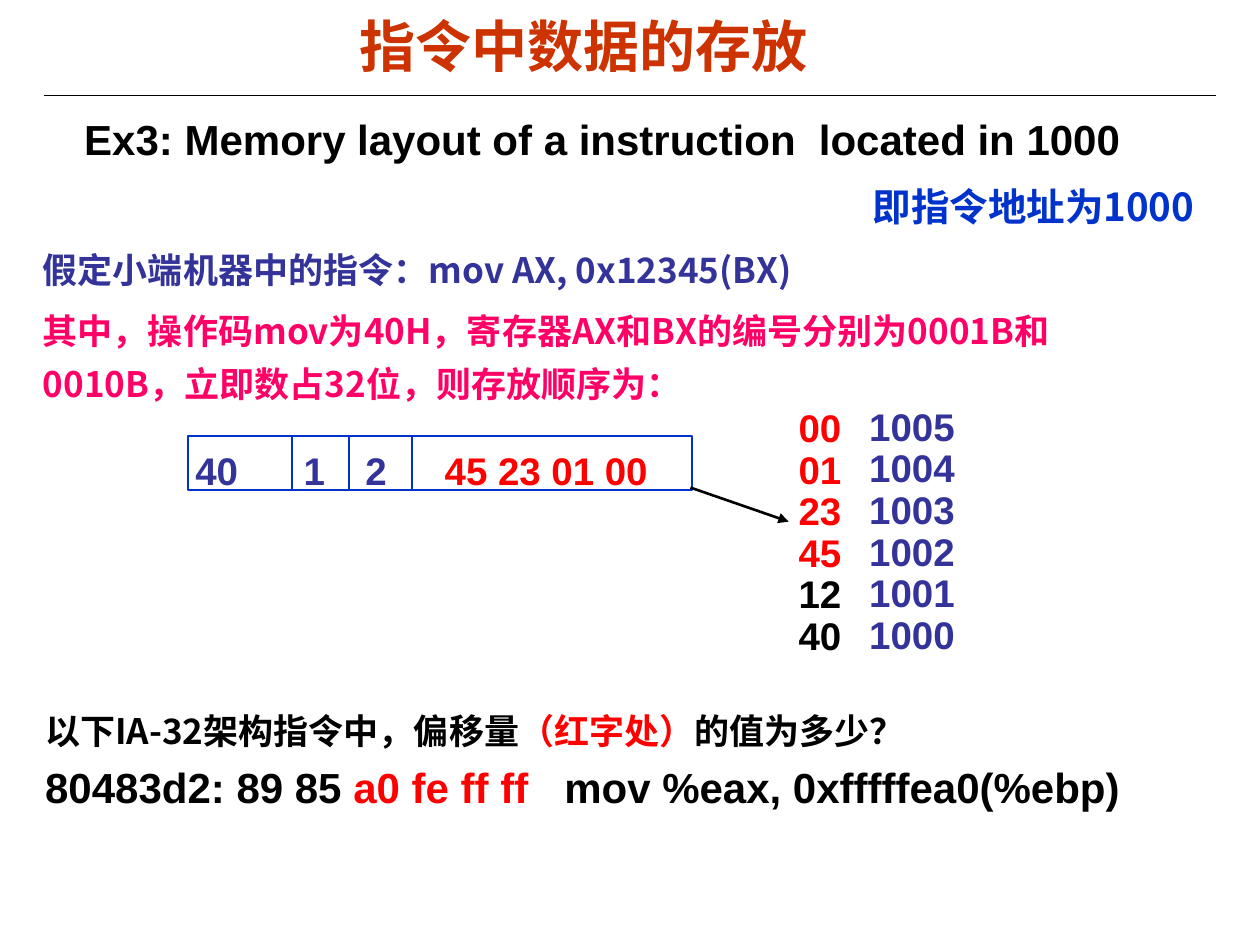
from dataclasses import dataclass

from lxml import etree
from pptx import Presentation
from pptx import util as u
from pptx.dml.color import RGBColor
from pptx.enum import shapes, text
from pptx.oxml import parse_xml
from pptx.oxml.ns import nsdecls, qn

WIDTH, HEIGHT = u.Inches(10), u.Inches(7.5)
COLS, ROWS = 100, 75


@dataclass(frozen=True)
class Theme:
    title: str = "CC3300"
    ink: str = "000000"
    navy: str = "333399"
    blue: str = "0033CC"
    pink: str = "FF0066"
    red: str = "FF0000"
    head: int = 32
    big: int = 24
    mid: int = 22
    body: int = 20
    latin: str = "Arial"
    han: str = "Noto Sans CJK SC"


T = Theme()


def col(n):
    return round(WIDTH * n / COLS)


def row(n):
    return round(HEIGHT * n / ROWS)


def place(left, top, width, height):
    return col(left), row(top), col(width), row(height)


def style(run, color, size, face):
    font = run.font
    font.size, font.bold, font.name = u.Pt(size), True, face
    font.color.rgb = RGBColor.from_string(color)
    # East Asian face follows the Latin one
    ea = etree.Element(qn("a:ea"), typeface=T.han)
    run.font._element.find(qn("a:latin")).addnext(ea)


def tab_stop(para, stop):
    para._p.get_or_add_pPr().append(parse_xml(
        f'<a:tabLst {nsdecls("a")}><a:tab pos="{col(stop)}" algn="l"/></a:tabLst>'))


def label(slide, box, lines, size, face=T.latin, inset=(0.1, 0.05),
          lead=None, gap=0, wrap=True, align=None, stop=None):
    """Each line is a list of (words, colour) or (words, colour, size, face)."""
    frame = slide.shapes.add_textbox(*place(*box)).text_frame
    frame.word_wrap = wrap
    frame.auto_size = text.MSO_AUTO_SIZE.SHAPE_TO_FIT_TEXT
    frame.margin_left = frame.margin_right = u.Inches(inset[0])
    frame.margin_top = frame.margin_bottom = u.Inches(inset[1])
    for i, line in enumerate(lines):
        para = frame.paragraphs[0] if i == 0 else frame.add_paragraph()
        if stop:
            tab_stop(para, stop)
        para.alignment = align
        if lead:
            para.line_spacing = lead
        if i and gap:
            para.space_before = u.Pt(gap)
        for words, color, *other in line:
            run = para.add_run()
            run.text = words
            style(run, color, *(other or (size, face)))


def rule(slide, start, end, color, width, arrow=False):
    line = slide.shapes.add_connector(
        shapes.MSO_CONNECTOR.STRAIGHT,
        col(start[0]), row(start[1]), col(end[0]), row(end[1]))
    line.line.color.rgb = RGBColor.from_string(color)
    line.line.width = u.Pt(width)
    if arrow:
        etree.SubElement(line.line._get_or_add_ln(), qn("a:tailEnd"), type="triangle")
    etree.SubElement(line._element.spPr, qn("a:effectLst"))


def frame_box(slide, box, color, width):
    rect = slide.shapes.add_shape(shapes.MSO_SHAPE.RECTANGLE, *place(*box))
    rect.shadow.inherit = False
    rect.fill.background()
    rect.line.color.rgb = RGBColor.from_string(color)
    rect.line.width = u.Pt(width)


def layout(slide):
    """Instruction word with its four fields."""
    left, top, width, height = 14.9, 34.6, 40, 4.3
    frame_box(slide, (left, top, width, height), T.blue, 1)
    for x in (23.2, 27.7, 32.7):
        rule(slide, (x, top), (x, top + height), T.blue, 1)
    fields = [("40", 14.8, 7.3, T.navy), ("1", 23.4, 5.7, T.navy),
              ("2", 28.3, 5.7, T.navy), ("45 23 01 00", 34.6, 18.4, T.red)]
    for words, x, wide, color in fields:
        label(slide, (x, 35.2, wide, 4.2), [[(words, color)]], T.mid,
              inset=(0.07, 0.03))


def memory(slide):
    """Bytes beside their addresses, highest address first."""
    data = [("00", T.red), ("01", T.red), ("23", T.red), ("45", T.red),
            ("12", T.ink), ("40", T.ink)]
    label(slide, (62.4, 32, 5.4, 20.8), [[cell] for cell in data],
          T.mid, lead=0.9, wrap=False)
    rule(slide, (54.8, 38.7), (62.6, 41.4), T.ink, 1.5, arrow=True)
    label(slide, (68, 31.9, 8.8, 20.8),
          [[(str(n), T.navy)] for n in range(1005, 999, -1)],
          T.mid, lead=0.9, wrap=False)


def main():
    deck = Presentation()
    deck.slide_width, deck.slide_height = WIDTH, HEIGHT
    slide = deck.slides.add_slide(deck.slide_layouts[6])

    # Heading
    rule(slide, (3.5, 7.6), (96.5, 7.6), T.ink, 0.75)
    label(slide, (7.8, 0.6, 77.1, 6), [[("指令中数据的存放", T.title)]], T.head,
          inset=(0.07, 0.03), align=text.PP_ALIGN.CENTER)
    label(slide, (5.7, 9, 87.5, 4.6),
          [[("Ex3: Memory layout of a instruction  located in 1000", T.ink)]],
          T.big, lead=0.9)
    label(slide, (68.3, 14, 29, 4.7), [[("即指令地址为1000", T.blue)]],
          T.mid, T.han)

    # Assumptions
    label(slide, (2.7, 18.6, 91.2, 13.8), [
        [("假定小端机器中的指令：mov AX, 0x12345(BX)", T.navy)],
        [("其中，操作码mov为40H，寄存器AX和BX的编号分别为0001B和"
          "0010B，立即数占32位，则存放顺序为：", T.pink)],
    ], T.body, T.han, inset=(0.07, 0.03), lead=1.25, gap=5)

    # Instruction and memory
    layout(slide)
    memory(slide)

    # Question
    code = (T.big, T.latin)
    label(slide, (2.6, 55.8, 90.1, 9.2), [
        [("以下IA-32架构指令中，偏移量", T.ink), ("（红字处）", T.red),
         ("的值为多少？", T.ink)],
        [("80483d2: 89 85 ", T.ink, *code), ("a0 fe ff ff", T.red, *code),
         ("\tmov %eax, 0xfffffea0(%ebp)", T.ink, *code)],
    ], T.body, T.han, gap=6, stop=41.2)

    deck.save("out.pptx")


if __name__ == "__main__":
    main()
